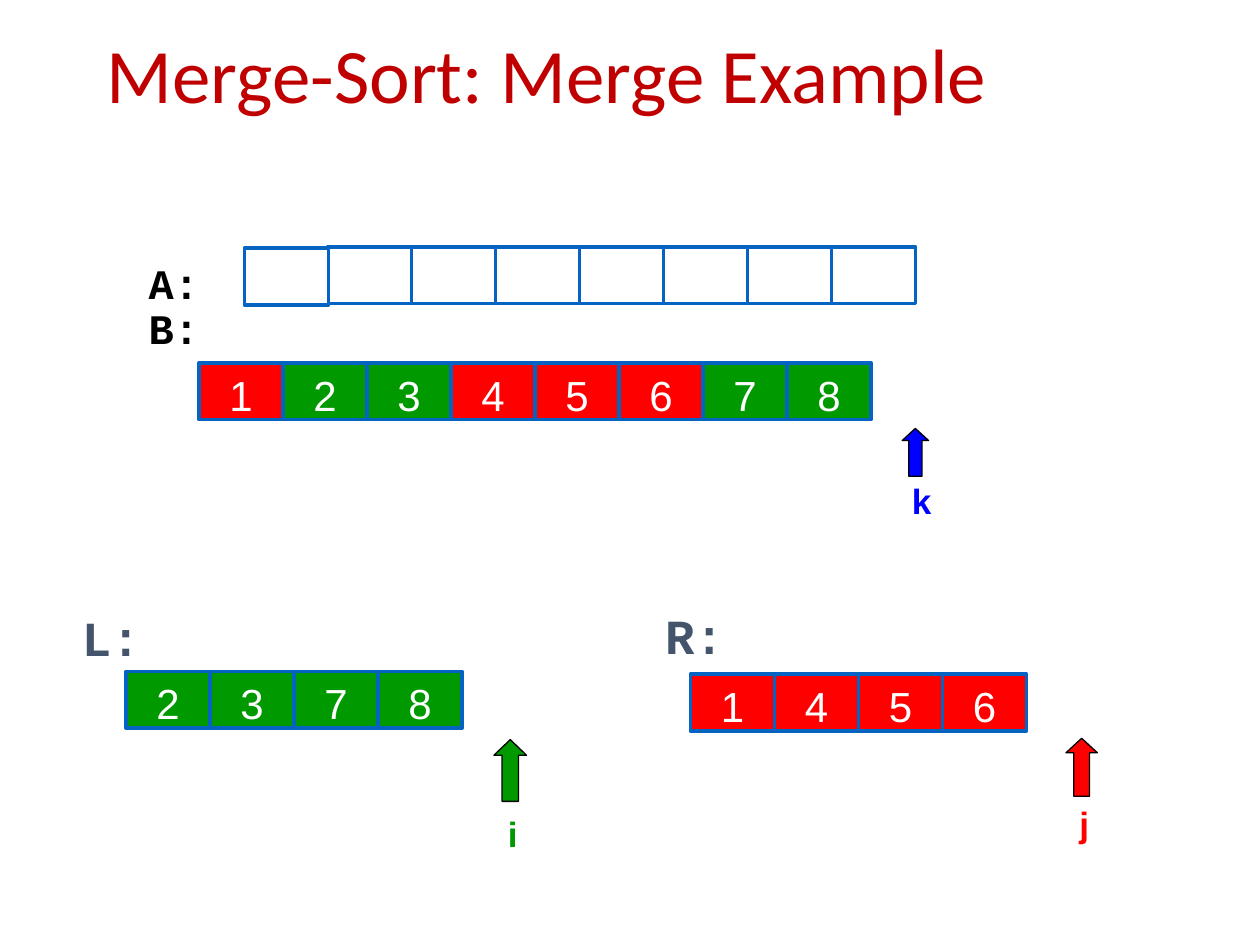
from collections import namedtuple

from pptx import Presentation
from pptx import util as u
from pptx.dml.color import RGBColor
from pptx.enum import shapes, text

WHITE = RGBColor(0xFF, 0xFF, 0xFF)
BLACK = RGBColor(0x00, 0x00, 0x00)
CRIMSON = RGBColor(0xC0, 0x00, 0x00)
RED = RGBColor(0xFF, 0x00, 0x00)
GREEN = RGBColor(0x00, 0x99, 0x00)
BLUE = RGBColor(0x00, 0x00, 0xFF)
SLATE = RGBColor(0x44, 0x54, 0x6A)
CELL_EDGE = RGBColor(0x05, 0x63, 0xC1)

WIDTH, HEIGHT = u.Inches(10), u.Inches(7.5)
COLUMN, ROW = WIDTH / 100, HEIGHT / 75
CELL_WIDTH, CELL_HEIGHT = 100 / 15, 4.5

LEFT_VALUES = (2, 3, 7, 8)
RIGHT_VALUES = (1, 4, 5, 6)

Box = namedtuple("Box", "left top width height")


def place(box):
    """Turn a box in columns and rows into slide lengths."""
    return (round(box.left * COLUMN), round(box.top * ROW),
            round(box.width * COLUMN), round(box.height * ROW))


def write(shape, words, font, size, color, bold=False, align=text.PP_ALIGN.LEFT,
          anchor=text.MSO_ANCHOR.BOTTOM, margins=(0, 0.05, 0, 0.05)):
    """Write one line of text into a shape and return its paragraph."""
    frame = shape.text_frame
    frame.word_wrap = True
    frame.vertical_anchor = anchor
    (frame.margin_left, frame.margin_top,
     frame.margin_right, frame.margin_bottom) = map(u.Inches, margins)
    para = frame.paragraphs[0]
    para.alignment = align
    span = para.add_run()
    span.text = words
    span.font.name = font
    span.font.size = u.Pt(size)
    span.font.bold = bold
    span.font.color.rgb = color
    return para


def add_solid(page, kind, box, fill, edge, weight):
    """Add a filled and outlined preset shape."""
    shape = page.shapes.add_shape(kind, *place(box))
    shape.shadow.inherit = False
    shape.fill.solid()
    shape.fill.fore_color.rgb = fill
    shape.line.color.rgb = edge
    shape.line.width = u.Pt(weight)
    return shape


def add_title(page, box, words):
    """Add the slide title."""
    title = page.shapes.add_textbox(*place(box))
    para = write(title, words, "Calibri", 44, CRIMSON,
                 anchor=text.MSO_ANCHOR.MIDDLE, margins=(0.1, 0.05, 0.1, 0.05))
    para.line_spacing = 0.9


def add_label(page, box, words, size, color):
    """Add the name of an array."""
    label = page.shapes.add_textbox(*place(box))
    write(label, words, "Courier New", size, color, bold=True)


def add_array(page, left, top, cells):
    """Add a row of touching cells from (value, fill) pairs."""
    for index, (value, fill) in enumerate(cells):
        box = Box(left + index * CELL_WIDTH, top, CELL_WIDTH, CELL_HEIGHT)
        cell = add_solid(page, shapes.MSO_SHAPE.RECTANGLE, box, fill, CELL_EDGE, 2)
        if value:
            write(cell, str(value), "Arial", 24, WHITE, align=text.PP_ALIGN.CENTER,
                  margins=(0.1, 0.05, 0.1, 0))


def add_pointer(page, box, indent, width, height, head, letter, color):
    """Add an up arrow at the top of the box and its letter at the bottom."""
    arrow_box = Box(box.left + indent, box.top, width, height)
    arrow = add_solid(page, shapes.MSO_SHAPE.UP_ARROW, arrow_box, color, BLACK, 0.75)
    arrow.adjustments[0] = 0.5
    arrow.adjustments[1] = head
    letter_height = 4.4
    letter_box = Box(box.left, box.top + box.height - letter_height,
                     box.width, letter_height)
    label = page.shapes.add_textbox(*place(letter_box))
    write(label, letter, "Arial", 20, color, bold=True, align=text.PP_ALIGN.CENTER)


def main():
    """Build the merge example slide."""
    deck = Presentation()
    deck.slide_width, deck.slide_height = WIDTH, HEIGHT
    page = deck.slides.add_slide(deck.slide_layouts[6])

    add_title(page, Box(7.5, 0, 85, 12.5), "Merge-Sort: Merge Example")

    merged = [(value, GREEN if value in LEFT_VALUES else RED)
              for value in sorted(LEFT_VALUES + RIGHT_VALUES)]
    add_array(page, 15.8, 28.8, merged)
    add_array(page, 10, 53.3, [(value, GREEN) for value in LEFT_VALUES])
    add_array(page, 54.8, 53.5, [(value, RED) for value in RIGHT_VALUES])
    add_array(page, 26, 19.6, [(None, WHITE)] * 7)
    add_array(page, 19.4, 19.7, [(None, WHITE)])

    add_label(page, Box(11.8, 19.9, 4.9, 5), "A:", 24, BLACK)
    add_label(page, Box(11.8, 23.5, 4.9, 5), "B:", 24, BLACK)
    add_label(page, Box(6.5, 47.7, 4.7, 5.7), "L:", 28, SLATE)
    add_label(page, Box(52.8, 47.5, 4.7, 5.7), "R:", 28, SLATE)

    add_pointer(page, Box(38.3, 58.7, 4.8, 9.6), 0.9, 2.6, 4.9, 0.48, "i", GREEN)
    add_pointer(page, Box(82.3, 58.6, 7.5, 8.9), 2.3, 2.5, 4.6, 0.46, "j", RED)
    add_pointer(page, Box(69.1, 34, 8.1, 7.9), 2.5, 2.1, 3.8, 0.46, "k", BLUE)

    deck.save("out.pptx")


if __name__ == "__main__":
    main()
